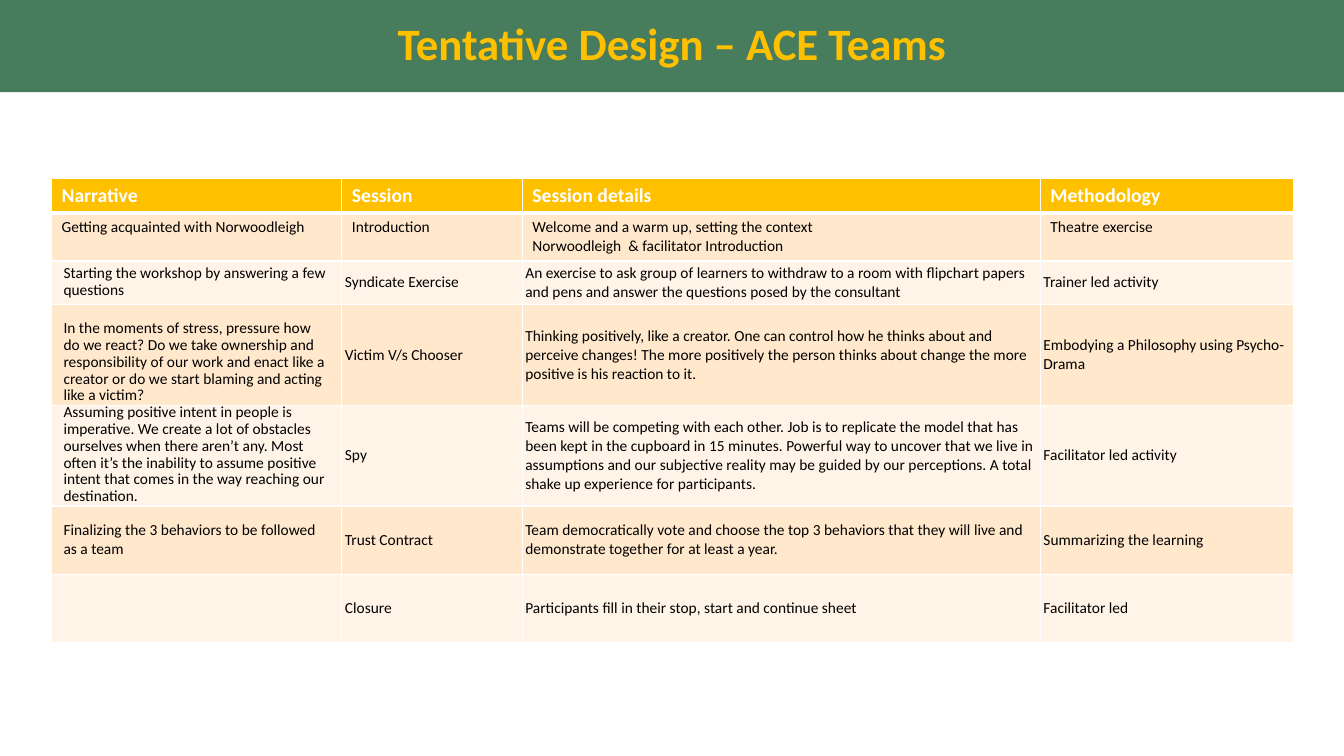
"""Build the tentative design slide: a title band above a session plan table."""
from lxml import etree
from pptx import Presentation
from pptx.dml.color import RGBColor
from pptx.enum.text import MSO_ANCHOR, MSO_AUTO_SIZE, PP_ALIGN
from pptx.oxml.ns import qn
from pptx.util import Pt

MIDDLE, TOP = MSO_ANCHOR.MIDDLE, MSO_ANCHOR.TOP
CENTER, LEFT = PP_ALIGN.CENTER, PP_ALIGN.LEFT
NO_AUTOFIT = MSO_AUTO_SIZE.NONE

FONT = "Calibri"
GREEN, GOLD, WHITE, BLACK = "477D5C", "FFC000", "FFFFFF", "000000"
BANDS = ["FFE8CC", "FFF4E7"]
COLUMN_WIDTHS = [207.4, 128.9, 370.1, 180.7]
ROW_HEIGHTS = [24.3, 34.2, 31, 72, 72, 48.9, 48.9]
EXACT_SPACING_ROWS = [2, 3, 4]
STRESS_ROW = 3

SESSIONS = [
    ["Narrative", "Session", "Session details", "Methodology"],
    ["Getting acquainted with Norwoodleigh", "Introduction",
     "Welcome and a warm up, setting the context\nNorwoodleigh  & facilitator Introduction",
     "Theatre exercise"],
    ["Starting the workshop by answering a few questions", "Syndicate Exercise",
     "An exercise to ask group of learners to withdraw to a room with flipchart papers "
     "and pens and answer the questions posed by the consultant",
     "Trainer led activity"],
    ["In the moments of stress, pressure how do we react? Do we take ownership and "
     "responsibility of our work and enact like a creator or do we start blaming and "
     "acting like a victim?", "Victim V/s Chooser",
     "Thinking positively, like a creator. One can control how he thinks about and "
     "perceive changes! The more positively the person thinks about change the more "
     "positive is his reaction to it.",
     "Embodying a Philosophy using Psycho-Drama"],
    ["Assuming positive intent in people is imperative. We create a lot of obstacles "
     "ourselves when there aren’t any. Most often it’s the inability to assume positive "
     "intent that comes in the way reaching our destination.", "Spy",
     "Teams will be competing with each other. Job is to replicate the model that has "
     "been kept in the cupboard in 15 minutes. Powerful way to uncover that we live in "
     "assumptions and our subjective reality may be guided by our perceptions. A total "
     "shake up experience for participants.",
     "Facilitator led activity"],
    ["Finalizing the 3 behaviors to be followed as a team", "Trust Contract",
     "Team democratically vote and choose the top 3 behaviors that they will live and "
     "demonstrate together for at least a year.",
     "Summarizing the learning"],
    ["", "Closure", "Participants fill in their stop, start and continue sheet",
     "Facilitator led"],
]


def paint(color_format, hex_color):
    color_format.rgb = RGBColor.from_string(hex_color)


def add_span(para, text, size, hex_color, bold):
    span = para.add_run()
    span.text = text
    span.font.name = FONT
    span.font.size = Pt(size)
    span.font.bold = bold
    paint(span.font.color, hex_color)


deck = Presentation()
deck.slide_width, deck.slide_height = Pt(960), Pt(540)
page = deck.slides.add_slide(deck.slide_layouts[5])

title = page.shapes.title
title.left, title.top, title.width, title.height = Pt(0), Pt(0), Pt(960), Pt(65.8)
title.fill.solid()
paint(title.fill.fore_color, GREEN)
title.text_frame.auto_size = NO_AUTOFIT
title.text_frame.vertical_anchor = MIDDLE
title_para = title.text_frame.paragraphs[0]
title_para.alignment = CENTER
title_para.line_spacing = 0.9
add_span(title_para, "Tentative Design – ACE Teams", 32, GOLD, True)

table = page.shapes.add_table(
    len(ROW_HEIGHTS), len(COLUMN_WIDTHS), Pt(36.8), Pt(127.7),
    Pt(sum(COLUMN_WIDTHS)), Pt(sum(ROW_HEIGHTS))).table
table.horz_banding = False
for column, width in zip(table.columns, COLUMN_WIDTHS):
    column.width = Pt(width)

for row_index, (height, texts) in enumerate(zip(ROW_HEIGHTS, SESSIONS)):
    table.rows[row_index].height = Pt(height)
    is_header = row_index == 0
    roomy = row_index < 2
    fill = GOLD if is_header else BANDS[(row_index - 1) % 2]
    size, color = (14, WHITE) if is_header else (11, BLACK)
    thick_side = {0: "a:lnB", 1: "a:lnT"}.get(row_index)

    for column_index, text in enumerate(texts):
        cell = table.cell(row_index, column_index)
        narrative = column_index == 0
        side_margin = 7.2 if roomy else 8.6 if narrative else 2.2
        cell.margin_left = cell.margin_right = Pt(side_margin)
        cell.margin_top = cell.margin_bottom = Pt(3.6 if roomy else 0)
        if narrative and row_index == STRESS_ROW:
            cell.margin_top = Pt(12)
        cell.vertical_anchor = TOP if roomy else MIDDLE

        properties = cell._tc.get_or_add_tcPr()
        for side in ["a:lnL", "a:lnR", "a:lnT", "a:lnB"]:
            line_width = Pt(3 if side == thick_side else 1)
            border = etree.SubElement(properties, qn(side), w=str(line_width))
            solid = etree.SubElement(border, qn("a:solidFill"))
            etree.SubElement(solid, qn("a:srgbClr"), val=WHITE)
        cell.fill.solid()
        paint(cell.fill.fore_color, fill)

        frame = cell.text_frame
        for line_index, line in enumerate(text.splitlines()):
            para = frame.add_paragraph() if line_index else frame.paragraphs[0]
            para.alignment = LEFT
            if narrative and row_index in EXACT_SPACING_ROWS:
                para.line_spacing = Pt(12)
            add_span(para, line, size, color, is_header)

deck.save("out.pptx")
